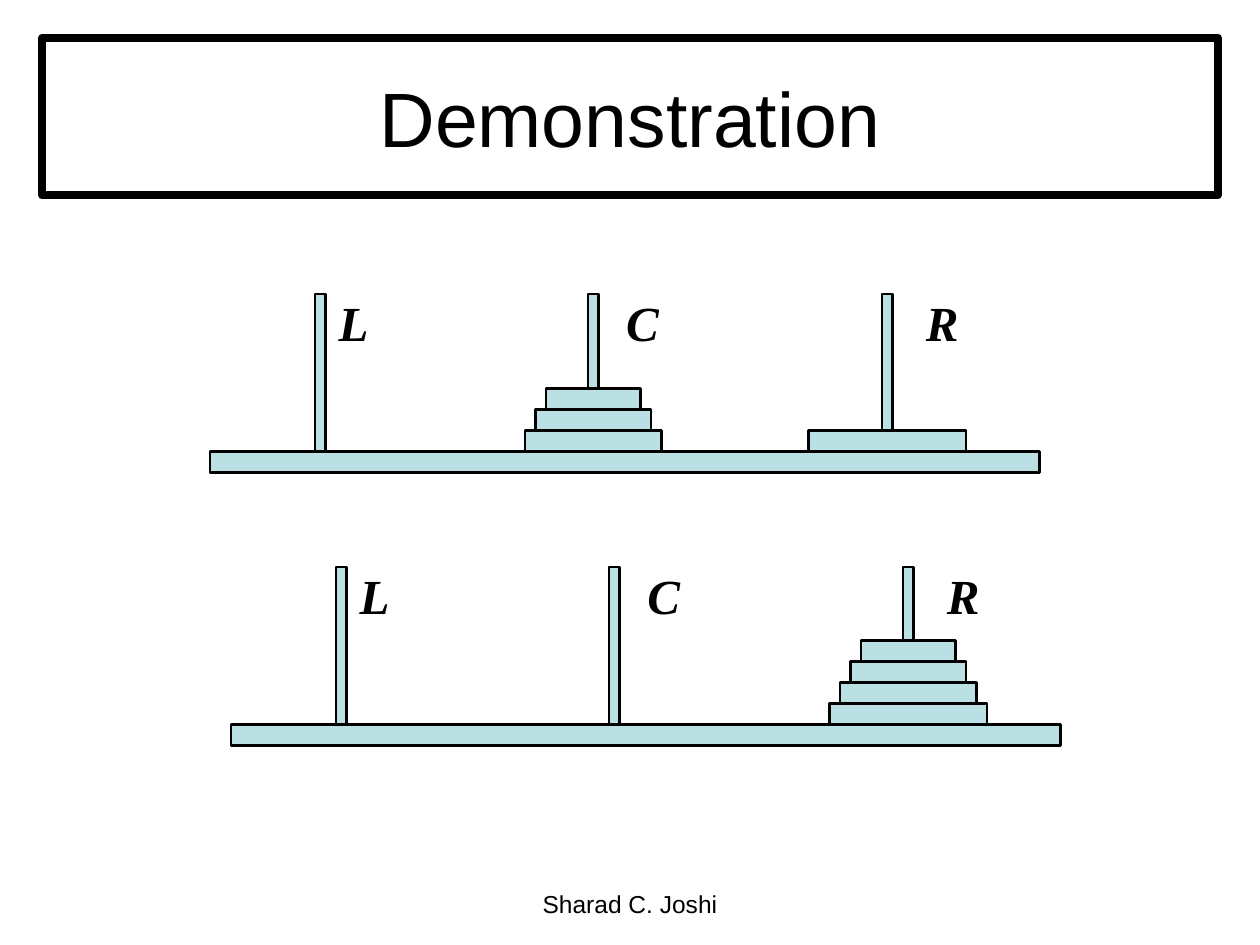
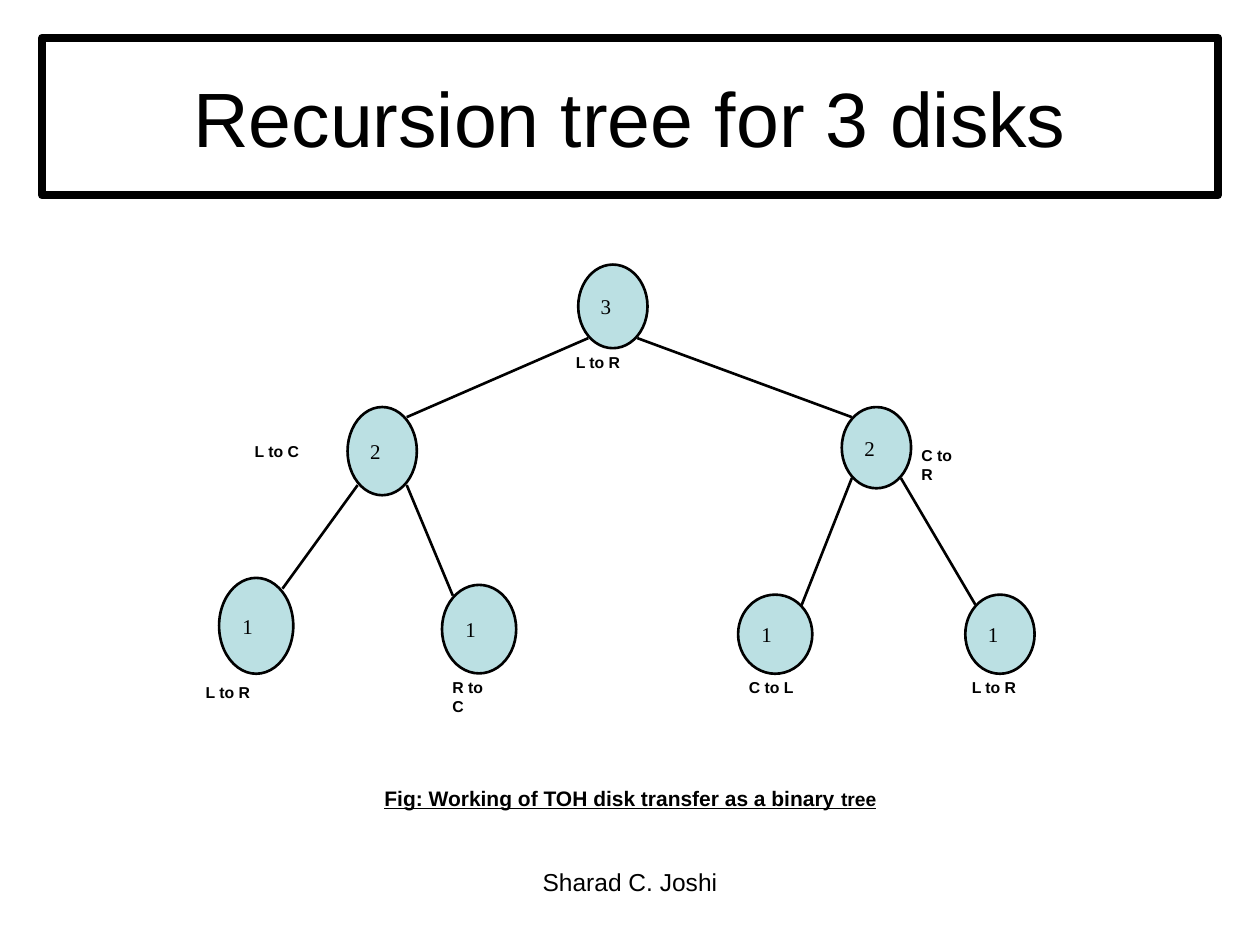
"""Build two slides: Tower of Hanoi moves and their recursion tree."""
import pptx
import pptx.util
from lxml import etree
from pptx.dml.color import RGBColor
from pptx.enum.shapes import MSO_CONNECTOR, MSO_SHAPE
from pptx.enum.text import MSO_ANCHOR, PP_ALIGN
from pptx.oxml.ns import qn

Pt = pptx.util.Pt

BLACK = RGBColor(0x00, 0x00, 0x00)
PALE_TEAL = RGBColor(0xBB, 0xE0, 0xE3)
SANS = "Arial"
SERIF = "Times New Roman"
LINE_WIDTH = 1.5

PEGS = {"L": (60, 6.4), "C": (216, 14.8), "R": (384, 18)}
PEG_WIDTH, PEG_HEIGHT = 6, 90
BASE_WIDTH, THICKNESS = 474, 12
DISK_WIDTHS = {1: 54, 2: 66, 3: 78, 4: 90}

TREE_NODES = {
    "root": ("3", 330.4, 151.2, 39.6, 47.8),
    "left": ("2", 198.6, 232.6, 39.6, 50.4),
    "right": ("2", 481, 232.6, 39.6, 46.4),
    "left-left": ("1", 125.2, 330.2, 42.4, 54.8),
    "left-right": ("1", 252.6, 334.2, 42.4, 50.6),
    "right-left": ("1", 421.8, 339.8, 42.4, 45.2),
    "right-right": ("1", 551.6, 339.8, 39.6, 45.2),
}
TREE_EDGES = [
    ("root", "left"), ("root", "right"),
    ("left", "left-left"), ("left", "left-right"),
    ("right", "right-left"), ("right", "right-right"),
]
MOVES = [
    ("L to R", 324.7, 199.6),
    ("L to C", 141.2, 250),
    ("C to R", 522.2, 252.8),
    ("L to R", 113.2, 387.8),
    ("R to C", 254.2, 385.2),
    ("C to L", 423.6, 385.2),
    ("L to R", 551, 385.2),
]
CORNER_SHARE = 0.146


def place(shape, left, top, width, height):
    """Move and size a shape, in points."""
    shape.left, shape.top = Pt(left), Pt(top)
    shape.width, shape.height = Pt(width), Pt(height)


def style_run(run, size, name=SANS, bold=False, italic=False, underline=False):
    """Format one run in black."""
    font = run.font
    font.size, font.name = Pt(size), name
    font.bold, font.italic, font.underline = bold, italic, underline
    font.color.rgb = BLACK


def add_titled_slide(presentation, title_text):
    """Add a slide with the framed title."""
    slide = presentation.slides.add_slide(presentation.slide_layouts[5])
    title = slide.shapes.title
    place(title, 24, 21.6, 672, 90)
    title.line.color.rgb = BLACK
    title.line.width = Pt(4.5)
    title.text_frame.text = title_text
    title.text_frame.vertical_anchor = MSO_ANCHOR.MIDDLE
    paragraph = title.text_frame.paragraphs[0]
    paragraph.alignment = PP_ALIGN.CENTER
    style_run(paragraph.runs[0], 44)
    return slide


def add_text(slide, text, box, size, insets=(7.2, 3.6), wrap=False,
             alignment=PP_ALIGN.LEFT, **style):
    """Add a text box of one paragraph and return it."""
    shape = slide.shapes.add_textbox(*map(Pt, box))
    frame = shape.text_frame
    frame.margin_left = frame.margin_right = Pt(insets[0])
    frame.margin_top = frame.margin_bottom = Pt(insets[1])
    frame.word_wrap = wrap
    frame.text = text
    frame.paragraphs[0].alignment = alignment
    style_run(frame.paragraphs[0].runs[0], size, **style)
    return shape


def add_footer(slide, top):
    """Add the author's name at the foot of the slide."""
    add_text(slide, "Sharad C. Joshi", (246, top, 228, 36), 14,
             wrap=True, alignment=PP_ALIGN.CENTER)


def add_outlined_shape(slide, kind, left, top, width, height):
    """Add a pale teal shape with a black outline."""
    shape = slide.shapes.add_shape(kind, *map(Pt, (left, top, width, height)))
    shape.shadow.inherit = False
    shape.fill.solid()
    shape.fill.fore_color.rgb = PALE_TEAL
    shape.line.color.rgb = BLACK
    shape.line.width = Pt(LINE_WIDTH)
    return shape


def add_towers(slide, left, top, stacks):
    """Draw the base, three pegs and disks listed from bottom to top."""
    base_top = top + PEG_HEIGHT
    bar = MSO_SHAPE.RECTANGLE
    add_outlined_shape(slide, bar, left, base_top, BASE_WIDTH, THICKNESS)
    for name, (offset, label_gap) in PEGS.items():
        peg_left = left + offset
        add_outlined_shape(slide, bar, peg_left, top, PEG_WIDTH, PEG_HEIGHT)
        for level, disk in enumerate(stacks.get(name, []), start=1):
            width = DISK_WIDTHS[disk]
            add_outlined_shape(slide, bar, peg_left + (PEG_WIDTH - width) / 2,
                               base_top - level * THICKNESS, width, THICKNESS)
        add_text(slide, name, (peg_left + label_gap, top - 4.6, 33, 41), 28,
                 name=SERIF, bold=True, italic=True)


def add_node(slide, text, *box):
    """Draw a tree node with its disk count."""
    node = add_outlined_shape(slide, MSO_SHAPE.OVAL, *box)
    frame = node.text_frame
    frame.text = text
    frame.vertical_anchor = MSO_ANCHOR.MIDDLE
    frame.paragraphs[0].alignment = PP_ALIGN.LEFT
    style_run(frame.paragraphs[0].runs[0], 12, name=SERIF)


def add_edge(slide, parent, child):
    """Join the facing lower and upper corners of two node boxes."""
    parent_left, parent_top, parent_width, parent_height = parent
    child_left, child_top, child_width, _ = child
    parent_inset = CORNER_SHARE * parent_width
    child_inset = CORNER_SHARE * child_width
    start_x, end_x = parent_left + parent_inset, child_left + child_width - child_inset
    if child_left > parent_left:
        start_x, end_x = parent_left + parent_width - parent_inset, child_left + child_inset
    points = (start_x, parent_top + parent_height - parent_inset,
              end_x, child_top + child_inset)
    edge = slide.shapes.add_connector(MSO_CONNECTOR.STRAIGHT, *map(Pt, points))
    edge.line.color.rgb = BLACK
    edge.line.width = Pt(LINE_WIDTH)
    etree.SubElement(edge._element.spPr, qn("a:effectLst"))


def add_caption(slide):
    """Add the underlined figure caption."""
    caption = add_text(slide, "Fig: Working of TOH disk transfer as a binary ",
                       (149, 437, 422.6, 38.2), 12, insets=(4.3, 2.2), wrap=True,
                       alignment=PP_ALIGN.CENTER, bold=True, underline=True)
    caption.text_frame.vertical_anchor = MSO_ANCHOR.MIDDLE
    last_word = caption.text_frame.paragraphs[0].add_run()
    last_word.text = "tree"
    style_run(last_word, 11, bold=True, underline=True)


def build_demonstration(presentation):
    """Build the slide with two states of the towers."""
    slide = add_titled_slide(presentation, "Demonstration")
    add_towers(slide, 120, 168, {"C": [3, 2, 1], "R": [4]})
    add_towers(slide, 132, 324, {"R": [4, 3, 2, 1]})
    add_footer(slide, 504.7)


def build_recursion_tree(presentation):
    """Build the slide with the tree of moves."""
    slide = add_titled_slide(presentation, "Recursion tree for 3 disks")
    for node in TREE_NODES.values():
        add_node(slide, *node)
    for parent, child in TREE_EDGES:
        add_edge(slide, TREE_NODES[parent][1:], TREE_NODES[child][1:])
    for move, left, top in MOVES:
        add_text(slide, move, (left, top, 35, 16), 9, insets=(4.3, 2.2), bold=True)
    add_caption(slide)
    add_footer(slide, 491.8)


def main():
    """Create and save the presentation."""
    presentation = pptx.Presentation()
    presentation.slide_width, presentation.slide_height = Pt(720), Pt(540)
    build_demonstration(presentation)
    build_recursion_tree(presentation)
    presentation.save("out.pptx")


if __name__ == "__main__":
    main()
